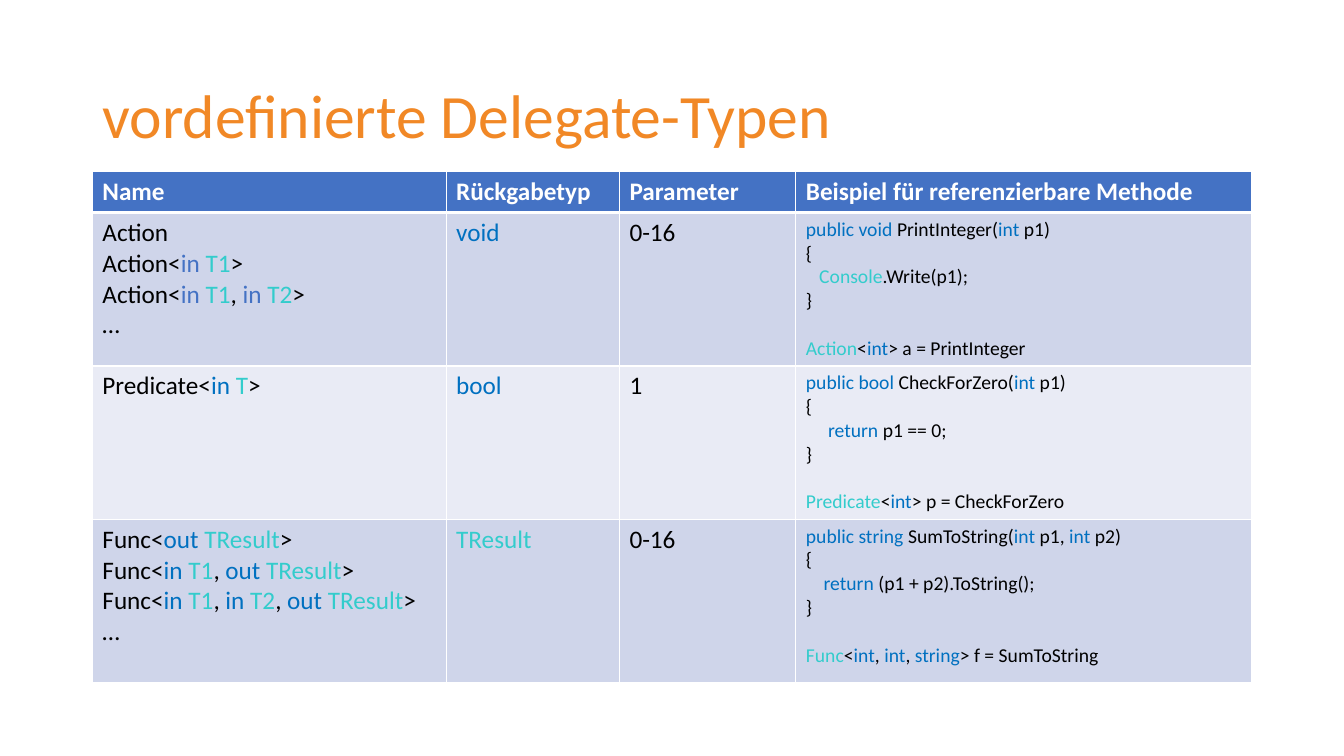
from itertools import groupby

from lxml.etree import SubElement
from pptx import Presentation
from pptx.dml.color import RGBColor
from pptx.enum.text import MSO_ANCHOR as ANCHOR, PP_ALIGN as ALIGN
from pptx.oxml.ns import qn
from pptx.util import Pt

FONT = "Calibri"
ORANGE = RGBColor(0xF1, 0x88, 0x26)
WHITE = RGBColor(0xFF, 0xFF, 0xFF)
BLACK = RGBColor(0, 0, 0)
HEADER = RGBColor(0x44, 0x72, 0xC4)
BAND_DARK = RGBColor(0xCF, 0xD5, 0xEA)
BAND_LIGHT = RGBColor(0xE9, 0xEB, 0xF5)
KEYWORD = RGBColor(0x00, 0x70, 0xC0)
TYPE = RGBColor(0x33, 0xCC, 0xCC)

KEYWORDS = {"in", "out", "public", "void", "bool", "int", "string", "return"}
TYPES = {"T", "T1", "T2", "TResult", "Console"}
DELEGATES = {"Action", "Predicate", "Func"}

COLUMN_WIDTHS = [252.7, 123.8, 126, 325.5]
ROW_HEIGHTS = [29.2, 109.6, 109.6, 116.6]
EXAMPLE_INDENTS = [9.5, 15.8, 12.65]
HEADINGS = ["Name", "Rückgabetyp", "Parameter",
            "Beispiel für referenzierbare Methode"]
ROWS = [
    [["Action", "Action<in T1>", "Action<in T1, in T2>", "…"],
     ["void"], ["0-16"],
     ["public void PrintInteger(int p1)", "{", "Console.Write(p1);", "}",
      "Action<int> a = PrintInteger"]],
    [["Predicate<in T>"], ["bool"], ["1"],
     ["public bool CheckForZero(int p1)", "{", "return p1 == 0;", "}",
      "Predicate<int> p = CheckForZero"]],
    [["Func<out TResult>", "Func<in T1, out TResult>",
      "Func<in T1, in T2, out TResult>", "…"],
     ["TResult"], ["0-16"],
     ["public string SumToString(int p1, int p2)", "{",
      "return (p1 + p2).ToString();", "}",
      "Func<int, int, string> f = SumToString"]],
]


def format_run(r, size, color, bold=False):
    """Set the font of a run."""
    r.font.name = FONT
    r.font.size = Pt(size)
    r.font.color.rgb = color
    r.font.bold = bold


def color_tokens(line, colors):
    """Pair each token of a code line with its colour."""
    color = BLACK
    for _, chars in groupby(line, str.isalnum):
        token = "".join(chars)
        if token != " ":
            color = colors.get(token, BLACK)
        yield color, token


def add_code(p, line, size, colors):
    """Write a code line with highlighted words."""
    for color, tokens in groupby(color_tokens(line, colors), lambda t: t[0]):
        r = p.add_run()
        r.text = "".join(token for _, token in tokens)
        format_run(r, size, color)


def fill_lines(cell, lines, size, colors):
    """Write code lines into a cell, one paragraph each."""
    tf = cell.text_frame
    for i, line in enumerate(lines):
        p = tf.add_paragraph() if i else tf.paragraphs[0]
        add_code(p, line, size, colors)


def fill_example(cell, lines, indent, colors):
    """Write a sample method with an indented body and a spaced-off use."""
    fill_lines(cell, lines, 14, colors)
    body, use = cell.text_frame.paragraphs[2], cell.text_frame.paragraphs[-1]
    body._p.get_or_add_pPr().set("marL", str(Pt(indent)))
    use.space_before = Pt(17.1)


def style_cell(cell, fill, top=1, bottom=1):
    """Give a cell white borders and a solid fill."""
    tcPr = cell._tc.get_or_add_tcPr()
    for side, width in (("L", 1), ("R", 1), ("T", top), ("B", bottom)):
        ln = SubElement(tcPr, qn("a:ln" + side), w=str(Pt(width)))
        solid = SubElement(ln, qn("a:solidFill"))
        SubElement(solid, qn("a:srgbClr"), val=str(WHITE))
    cell.fill.solid()
    cell.fill.fore_color.rgb = fill


def add_title(s, text):
    """Place and format the slide title."""
    title = s.shapes.title
    title.left, title.top, title.width, title.height = (
        Pt(66), Pt(36), Pt(828), Pt(97.2))
    tf = title.text_frame
    tf.text = text
    tf.vertical_anchor = ANCHOR.MIDDLE
    p = tf.paragraphs[0]
    p.alignment = ALIGN.LEFT
    p.line_spacing = 0.9
    format_run(p.runs[0], 44, ORANGE)


def add_delegate_table(s):
    """Add the table of delegate types."""
    table = s.shapes.add_table(
        len(ROW_HEIGHTS), len(COLUMN_WIDTHS), Pt(66), Pt(122.6),
        Pt(sum(COLUMN_WIDTHS)), Pt(sum(ROW_HEIGHTS))).table
    for column, width in zip(table.columns, COLUMN_WIDTHS):
        column.width = Pt(width)
    for row, height in zip(table.rows, ROW_HEIGHTS):
        row.height = Pt(height)

    for cell, heading in zip(table.rows[0].cells, HEADINGS):
        cell.text_frame.text = heading
        format_run(cell.text_frame.paragraphs[0].runs[0], 18, WHITE, True)
        style_cell(cell, HEADER, bottom=3)

    for i, (contents, indent) in enumerate(zip(ROWS, EXAMPLE_INDENTS)):
        colors = dict.fromkeys(KEYWORDS, KEYWORD) | dict.fromkeys(TYPES, TYPE)
        name_colors = colors | {"in": HEADER} if i == 0 else colors
        cells = list(table.rows[i + 1].cells)
        fill_lines(cells[0], contents[0], 18, name_colors)
        for cell, lines in zip(cells[1:3], contents[1:3]):
            fill_lines(cell, lines, 18, colors)
        fill_example(cells[3], contents[3], indent,
                     colors | dict.fromkeys(DELEGATES, TYPE))
        for cell in cells:
            style_cell(cell, BAND_LIGHT if i % 2 else BAND_DARK,
                       top=1 if i else 3)


def main():
    """Build the slide and save it."""
    prs = Presentation()
    prs.slide_width, prs.slide_height = Pt(960), Pt(540)
    s = prs.slides.add_slide(prs.slide_layouts[5])
    add_title(s, "vordefinierte Delegate-Typen")
    add_delegate_table(s)
    prs.save("out.pptx")


main()
